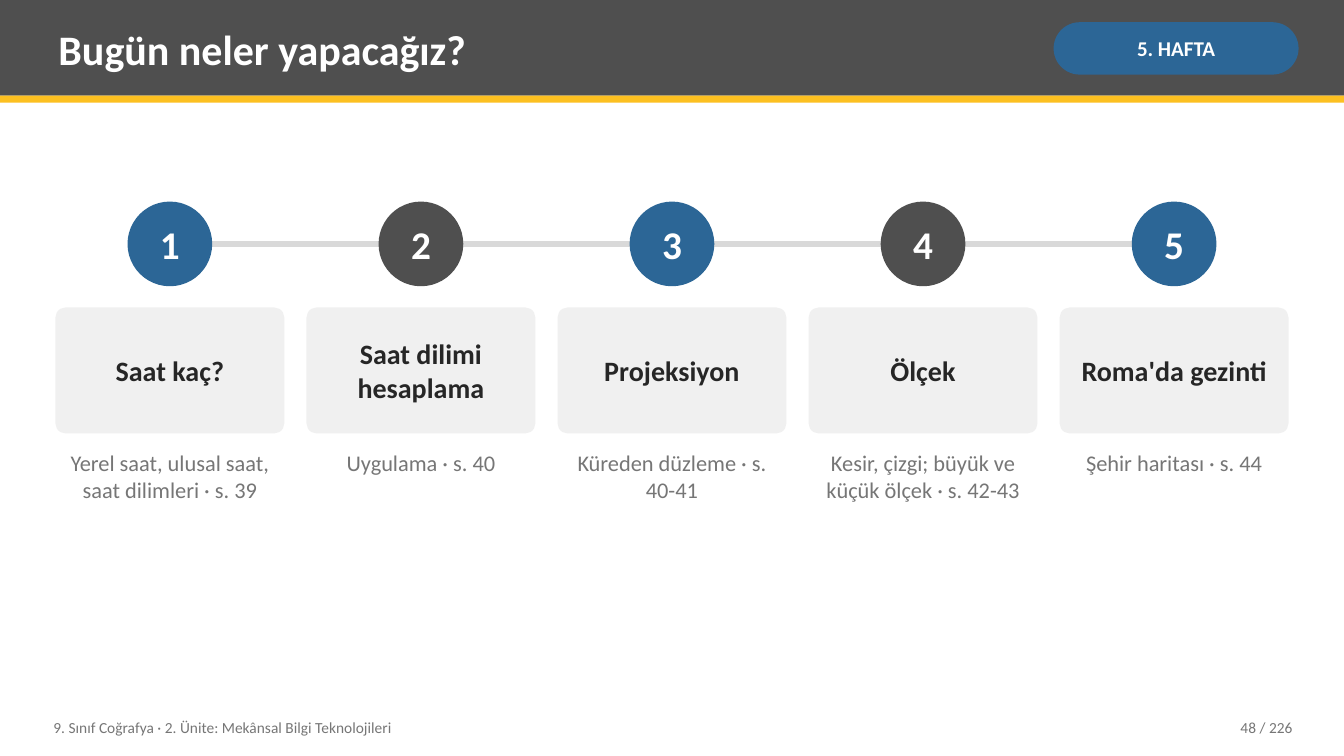
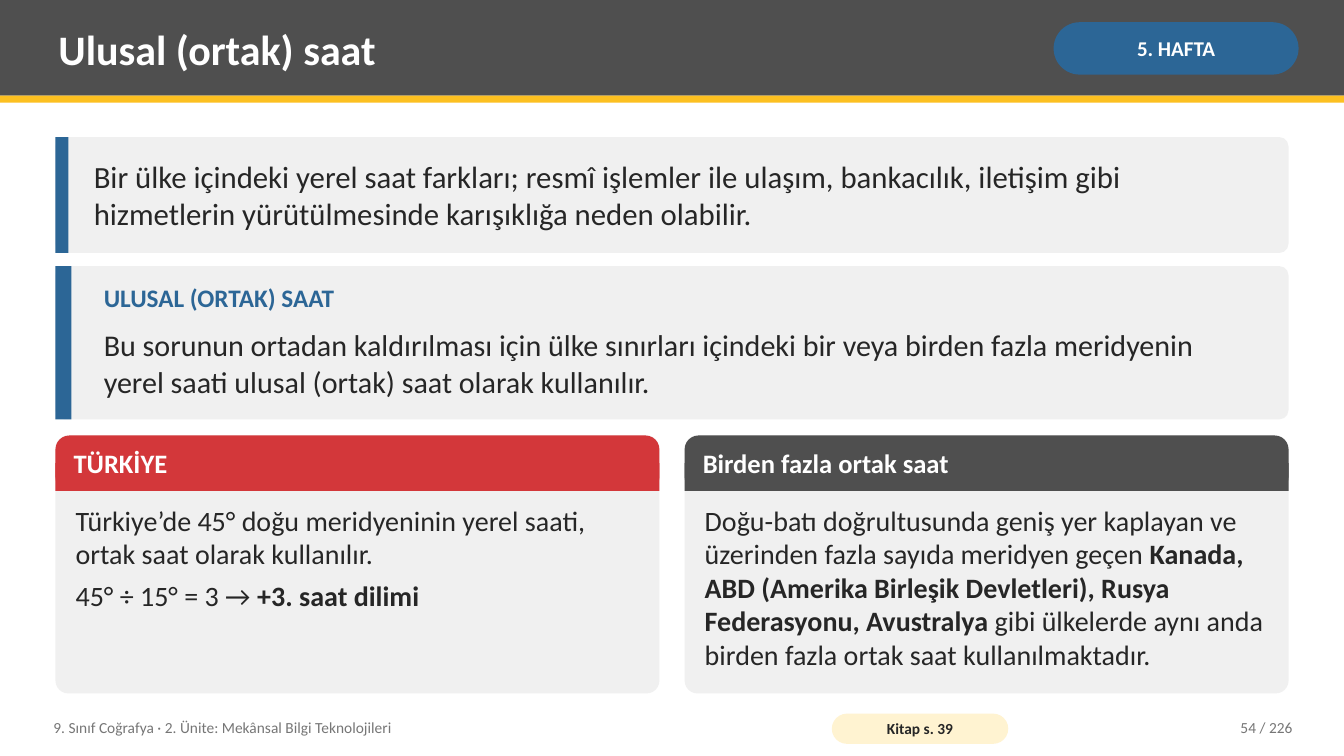
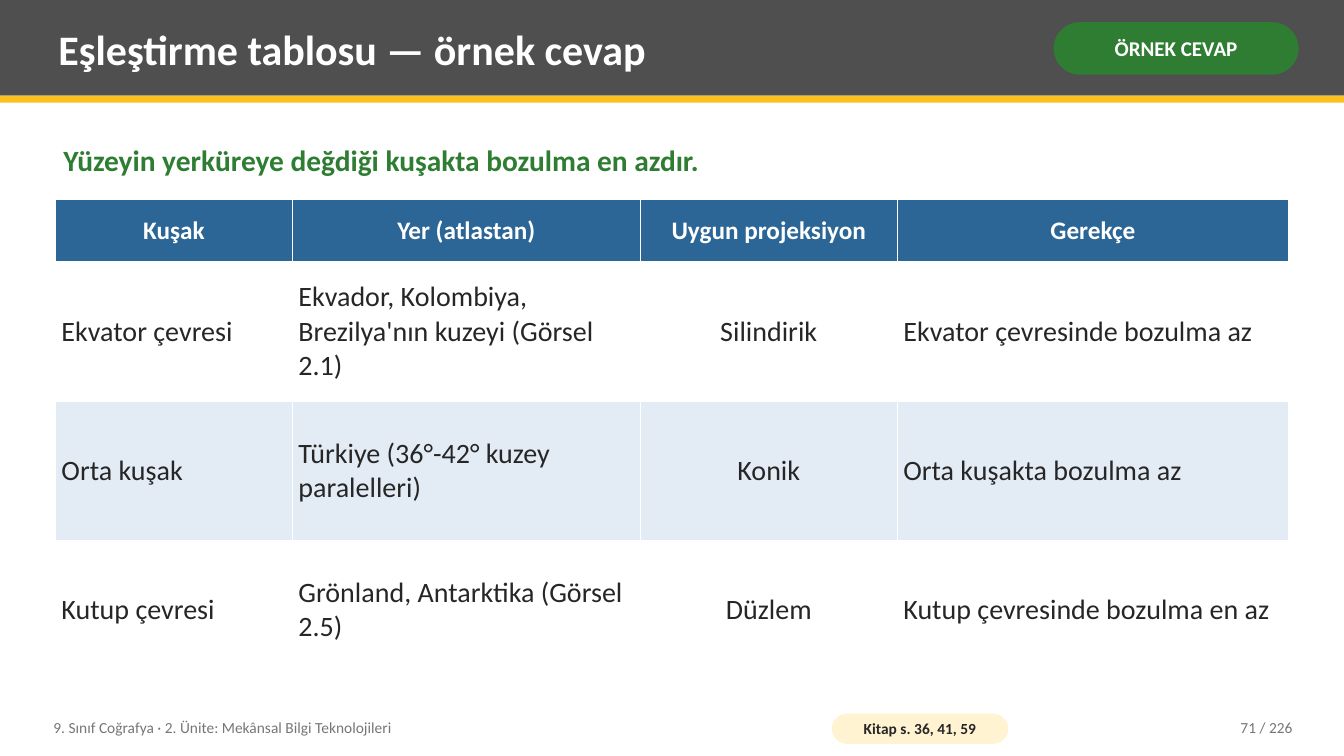
"""Build three geography lesson slides on time zones and map projections."""
from dataclasses import dataclass

from lxml import etree
from pptx import Presentation
from pptx.dml.color import RGBColor
from pptx.enum.shapes import MSO_CONNECTOR, MSO_SHAPE
from pptx.enum.text import MSO_ANCHOR, PP_ALIGN
from pptx.oxml.ns import qn
from pptx.util import Inches, Pt

RECT, ROUND, OVAL = MSO_SHAPE.RECTANGLE, MSO_SHAPE.ROUNDED_RECTANGLE, MSO_SHAPE.OVAL
LINE = MSO_CONNECTOR.STRAIGHT
TOP, MID = MSO_ANCHOR.TOP, MSO_ANCHOR.MIDDLE
LEFT, CENTER, RIGHT = PP_ALIGN.LEFT, PP_ALIGN.CENTER, PP_ALIGN.RIGHT


@dataclass(frozen=True)
class Theme:
    """Hold the colours, type sizes and page measures of the deck."""

    font: str = "Calibri"
    gray: str = "4F4F4F"
    gold: str = "FCC021"
    blue: str = "2C6696"
    green: str = "2E7D32"
    red: str = "D3373A"
    ink: str = "262626"
    soft: str = "767676"
    panel: str = "F0F0F0"
    rail: str = "D9D9D9"
    cream: str = "FFF3D1"
    stripe: str = "E3ECF5"
    white: str = "FFFFFF"
    title: float = 30
    step: float = 28
    lead: float = 22
    define: float = 21.5
    claim: float = 21
    body: float = 20
    card: float = 19
    label: float = 18
    detail: float = 16
    badge: float = 15
    foot: float = 11
    page: float = 13.33
    left: float = 0.55
    width: float = 12.23


T = Theme()
PAD = (0.08, 0.04)
UNIT = "9. Sınıf Coğrafya · 2. Ünite: Mekânsal Bilgi Teknolojileri"
STEPS = [
    ("Saat kaç?", "Yerel saat, ulusal saat, saat dilimleri · s. 39"),
    ("Saat dilimi hesaplama", "Uygulama · s. 40"),
    ("Projeksiyon", "Küreden düzleme · s. 40-41"),
    ("Ölçek", "Kesir, çizgi; büyük ve küçük ölçek · s. 42-43"),
    ("Roma'da gezinti", "Şehir haritası · s. 44"),
]
CARDS = [
    ("TÜRKİYE", T.red, [
        [("Türkiye’de 45° doğu meridyeninin yerel saati, ortak saat olarak kullanılır.", False)],
        [("45° ÷ 15° = 3 → ", False), ("+3. saat dilimi", True)],
    ]),
    ("Birden fazla ortak saat", T.gray, [
        [("Doğu-batı doğrultusunda geniş yer kaplayan ve üzerinden fazla sayıda "
          "meridyen geçen ", False),
         ("Kanada, ABD (Amerika Birleşik Devletleri), Rusya Federasyonu, Avustralya", True),
         (" gibi ülkelerde aynı anda birden fazla ortak saat kullanılmaktadır.", False)],
    ]),
]
ROWS = [
    ("Kuşak", "Yer (atlastan)", "Uygun projeksiyon", "Gerekçe"),
    ("Ekvator çevresi", "Ekvador, Kolombiya, Brezilya'nın kuzeyi (Görsel 2.1)",
     "Silindirik", "Ekvator çevresinde bozulma az"),
    ("Orta kuşak", "Türkiye (36°-42° kuzey paralelleri)", "Konik", "Orta kuşakta bozulma az"),
    ("Kutup çevresi", "Grönland, Antarktika (Görsel 2.5)", "Düzlem",
     "Kutup çevresinde bozulma en az"),
]


def apply(item, values):
    """Set each named value on the item."""
    for name, value in values.items():
        setattr(item, name, value)


def edges(pad):
    """Turn a horizontal and vertical pad into margin values."""
    across, down = map(Inches, pad)
    return {"margin_left": across, "margin_right": across,
            "margin_top": down, "margin_bottom": down}


def write(frame, text, size, color, bold=False, align=LEFT, after=0):
    """Fill a text frame from a string or from paragraphs of (text, bold) runs."""
    paras = [[(text, bold)]] if isinstance(text, str) else text
    for index, runs in enumerate(paras):
        para = frame.add_paragraph() if index else frame.paragraphs[0]
        para.alignment = align
        if index < len(paras) - 1:
            para.space_after = Pt(after)
        for words, heavy in runs:
            run = para.add_run()
            run.text = words
            apply(run.font, {"name": T.font, "size": Pt(size), "bold": heavy})
            run.font.color.rgb = RGBColor.from_string(color)


def label(slide, box, text, size, color, anchor=MID, **look):
    """Add a wrapped text box."""
    frame = slide.shapes.add_textbox(*map(Inches, box)).text_frame
    apply(frame, {"word_wrap": True, "vertical_anchor": anchor, **edges(PAD)})
    write(frame, text, size, color, **look)


def block(slide, kind, box, fill, curve=None):
    """Add a flat filled shape."""
    shape = slide.shapes.add_shape(kind, *map(Inches, box))
    shape.shadow.inherit = False
    shape.fill.solid()
    shape.fill.fore_color.rgb = RGBColor.from_string(fill)
    shape.line.fill.background()
    if curve is not None:
        shape.adjustments[0] = curve
    return shape


def badge(shape, text, size, color, pad, wrap=True):
    """Centre bold text in a shape."""
    frame = shape.text_frame
    apply(frame, {"word_wrap": wrap, "vertical_anchor": MID, **edges(pad)})
    write(frame, text, size, color, bold=True, align=CENTER)


def split(count, gap):
    """Return the left edges and the width of equal columns."""
    width = (T.width - gap * (count - 1)) / count
    return [T.left + index * (width + gap) for index in range(count)], width


def start(deck, title, tag, page, tint=T.blue, book=None):
    """Add a slide with its title band, tag and footer."""
    slide = deck.slides.add_slide(deck.slide_layouts[6])
    block(slide, RECT, (0, 0, T.page, 0.95), T.gray)
    block(slide, RECT, (0, 0.95, T.page, 0.07), T.gold)
    label(slide, (0.5, 0.07, 9.75, 0.82), title, T.title, T.white, bold=True)
    pill = block(slide, ROUND, (10.45, 0.22, 2.43, 0.52), tint, 0.5)
    badge(pill, tag, T.badge, T.white, (0.05, 0.02))
    label(slide, (0.45, 7.04, 7.6, 0.36), UNIT, T.foot, T.soft)
    if book:
        pill = block(slide, ROUND, (8.25, 7.08, 1.75, 0.3), T.cream, 0.5)
        badge(pill, book, T.foot, T.ink, (0.04, 0))
    label(slide, (11.3, 7.04, 1.6, 0.36), f"{page} / 226", T.foot, T.soft, align=RIGHT)
    return slide


def rail(slide, first, last, top):
    """Draw the level line behind the steps."""
    line = slide.shapes.add_connector(LINE, *map(Inches, (first, top, last, top)))
    line.line.color.rgb = RGBColor.from_string(T.rail)
    line.line.width = Pt(4)
    etree.SubElement(line._element.spPr, qn("a:effectLst"))


def steps(slide, items):
    """Lay out numbered steps with a heading and a detail each."""
    lefts, width = split(len(items), 0.22)
    size, top = 0.84, 2
    rail(slide, lefts[0] + width / 2, lefts[-1] + width / 2, top + size / 2)
    for index, (left, (head, detail)) in enumerate(zip(lefts, items)):
        tint = T.gray if index % 2 else T.blue
        dot = block(slide, OVAL, (left + (width - size) / 2, top, size, size), tint)
        badge(dot, str(index + 1), T.step, T.white, (0, 0), wrap=False)
        card = block(slide, ROUND, (left, 3.05, width, 1.25), T.panel, 0.08)
        badge(card, head, T.body, T.ink, (0.08, 0.08))
        label(slide, (left, 4.42, width, 1.9), detail, T.detail, T.soft,
              anchor=TOP, align=CENTER)


def panel(slide, top, height, bar, curve):
    """Add a wide panel with a bar on its left edge."""
    block(slide, ROUND, (T.left, top, T.width, height), T.panel, curve)
    block(slide, RECT, (T.left, top, bar, height), T.blue)


def cards(slide, items):
    """Lay out headed cards side by side."""
    lefts, width = split(len(items), 0.25)
    top, head = 4.32, 0.55
    for left, (title, tint, text) in zip(lefts, items):
        block(slide, ROUND, (left, top, width, 2.56), T.panel, 0.05)
        block(slide, ROUND, (left, top, width, head), tint, 0.25)
        block(slide, RECT, (left, top + head / 2, width, head / 2), tint)
        label(slide, (left + 0.1, top, width - 0.2, head), title, T.card, T.white, bold=True)
        label(slide, (left + 0.12, 4.95, width - 0.24, 1.85), text, T.body, T.ink,
              anchor=TOP, after=6)


def border(cell):
    """Give a cell thin white borders."""
    props = cell._tc.get_or_add_tcPr()
    for side in ("lnL", "lnR", "lnT", "lnB"):
        line = etree.SubElement(props, qn(f"a:{side}"), w=str(Pt(0.96)))
        fill = etree.SubElement(line, qn("a:solidFill"))
        etree.SubElement(fill, qn("a:srgbClr"), val=T.white)


def grid(slide, rows, widths, heights):
    """Add a table with a blue head and striped rows."""
    box = (T.left, 1.98, sum(widths), sum(heights))
    table = slide.shapes.add_table(len(rows), len(widths), *map(Inches, box)).table
    for column, width in zip(table.columns, widths):
        column.width = Inches(width)
    for r, (texts, height) in enumerate(zip(rows, heights)):
        table.rows[r].height = Inches(height)
        head = r == 0
        fill = T.blue if head else (T.white if r % 2 else T.stripe)
        size, color = (T.label, T.white) if head else (T.body, T.ink)
        for c, text in enumerate(texts):
            cell = table.cell(r, c)
            border(cell)
            cell.fill.solid()
            cell.fill.fore_color.rgb = RGBColor.from_string(fill)
            apply(cell, {"vertical_anchor": MID, **edges((0.06, 0.05))})
            align = CENTER if head or c == 2 else LEFT
            write(cell.text_frame, text, size, color, bold=head, align=align)


def plan(deck):
    """Build the slide with the plan of the week."""
    steps(start(deck, "Bugün neler yapacağız?", "5. HAFTA", 48), STEPS)


def clock(deck):
    """Build the slide on national time."""
    slide = start(deck, "Ulusal (ortak) saat", "5. HAFTA", 54, book="Kitap s. 39")
    panel(slide, 1.36, 1.15, 0.13, 0.08)
    label(slide, (0.85, 1.36, 11.78, 1.15),
          "Bir ülke içindeki yerel saat farkları; resmî işlemler ile ulaşım, bankacılık, "
          "iletişim gibi hizmetlerin yürütülmesinde karışıklığa neden olabilir.",
          T.lead, T.ink)
    panel(slide, 2.64, 1.52, 0.16, 0.06)
    label(slide, (0.95, 2.76, 11.63, 0.45), "ULUSAL (ORTAK) SAAT", T.label, T.blue,
          anchor=TOP, bold=True)
    label(slide, (0.95, 3.19, 11.63, 0.82),
          "Bu sorunun ortadan kaldırılması için ülke sınırları içindeki bir veya birden "
          "fazla meridyenin yerel saati ulusal (ortak) saat olarak kullanılır.",
          T.define, T.ink)
    cards(slide, CARDS)


def match(deck):
    """Build the slide with the matching table."""
    slide = start(deck, "Eşleştirme tablosu — örnek cevap", "ÖRNEK CEVAP", 71,
                  tint=T.green, book="Kitap s. 36, 41, 59")
    label(slide, (T.left, 1.28, T.width, 0.6),
          "Yüzeyin yerküreye değdiği kuşakta bozulma en azdır.", T.claim, T.green, bold=True)
    grid(slide, ROWS, (2.35, 3.45, 2.55, 3.88), (0.62, 1.38, 1.38, 1.38))


def main():
    """Build and save the deck."""
    deck = Presentation()
    apply(deck, {"slide_width": Inches(T.page), "slide_height": Inches(7.5)})
    for build in (plan, clock, match):
        build(deck)
    deck.save("out.pptx")


if __name__ == "__main__":
    main()
